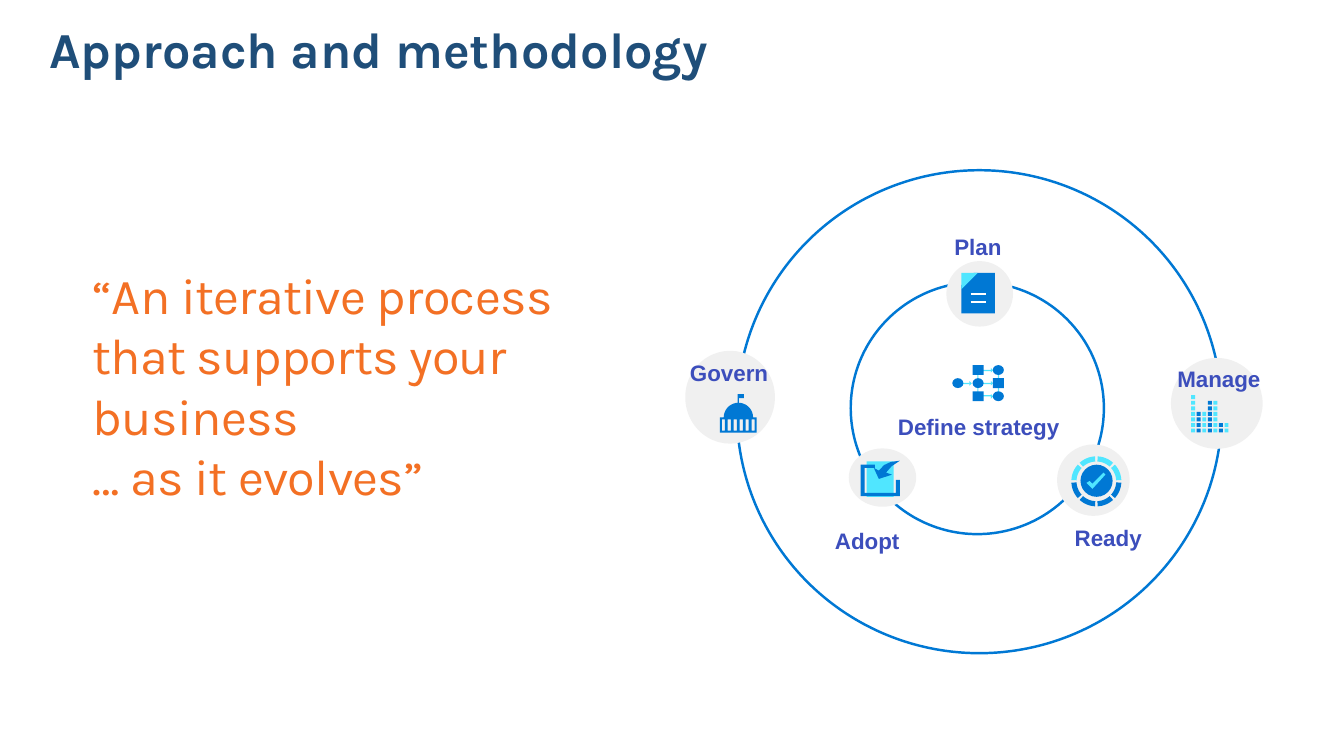
import dataclasses
import math

import lxml.etree
import pptx
import pptx.dml.color
import pptx.enum.shapes
import pptx.enum.text
import pptx.oxml.ns
import pptx.util

Cm = pptx.util.Cm
Pt = pptx.util.Pt
ALIGN = pptx.enum.text.PP_ALIGN
OVAL = pptx.enum.shapes.MSO_SHAPE.OVAL
RECTANGLE = pptx.enum.shapes.MSO_SHAPE.RECTANGLE


@dataclasses.dataclass(frozen=True)
class Theme:
    title: str = "1F4E79"
    quote: str = "F37024"
    label: str = "3C4EBC"
    blue: str = "0078D4"
    cyan: str = "50E6FF"
    disc: str = "F0F0F0"
    white: str = "FFFFFF"
    heading_font: str = "Karla"
    label_font: str = "Arial"
    large: int = 36
    small: int = 16


theme = Theme()
rgb = pptx.dml.color.RGBColor.from_string


def write_text(frame, text, font, size, color, bold=False, align=ALIGN.LEFT,
               line_spacing=None, tracking=None):
    para = frame.paragraphs[0]
    para.text = text
    para.alignment = align
    para.line_spacing = line_spacing
    for span in para.runs:
        span.font.name = font
        span.font.size = Pt(size)
        span.font.bold = bold
        span.font.color.rgb = rgb(color)
        if tracking is not None:
            span.font._element.set("spc", str(tracking))


def draw(form, geometry, fill=None, line=None):
    """Draw a preset from a box in cm, or an outline (form None) from contours in cm."""
    if form is None:
        contours = [[(Cm(x), Cm(y)) for x, y in contour] for contour in geometry]
        builder = page.shapes.build_freeform(*contours[0][0])
        builder.add_line_segments(contours[0][1:])
        for contour in contours[1:]:
            builder.move_to(*contour[0])
            builder.add_line_segments(contour[1:])
        shape = builder.convert_to_shape()
    else:
        shape = page.shapes.add_shape(form, *map(Cm, geometry))
    shape.shadow.inherit = False
    if fill:
        shape.fill.solid()
        shape.fill.fore_color.rgb = rgb(fill)
    else:
        shape.fill.background()
    if line:
        shape.line.color.rgb = rgb(line)
        shape.line.width = Pt(1.75)
    else:
        shape.line.fill.background()


deck = pptx.Presentation()
deck.slide_width, deck.slide_height = Cm(33.87), Cm(19.05)
page = deck.slides.add_slide(deck.slide_layouts[5])

# Title
title = page.shapes.title
title.left, title.top, title.width, title.height = map(Cm, (0.99, 0.38, 31.5, 1.88))
title.text_frame.vertical_anchor = pptx.enum.text.MSO_ANCHOR.MIDDLE
write_text(title.text_frame, "Approach and methodology", theme.heading_font, theme.large,
           theme.title, bold=True, line_spacing=0.9)

# Rings and the discs on them
for ring in ((18.57, 4.29, 12.22, 12.17), (21.44, 7.11, 6.38, 6.35)):
    draw(OVAL, ring, line=theme.blue)
discs = {
    "Adopt": (21.39, 11.3, 1.7, 1.47),
    "Plan": (23.85, 6.58, 1.68, 1.65),
    "Ready": (26.64, 11.2, 1.83, 1.8),
    "Manage": (29.51, 9.02, 2.31, 2.29),
    "Govern": (17.27, 8.84, 2.26, 2.34),
}
for disc in discs.values():
    draw(OVAL, disc, theme.disc)

# Strategy icon: links, arrowheads, then nodes
node_left, node_top, column_step, row_step = 24, 9.2, 0.51, 0.33
middle = node_top + 0.13
for link in ((24.66, 9.96, 0.33, 0.03), (25.15, 9.35, 0.03, 0.69),
             (24.71, 9.65, 0.28, 0.03), (24.16, 9.65, 0.28, 0.03)):
    draw(RECTANGLE, link, theme.cyan)
draw(None, [[(24.66, 9.93), (24.63, 9.93), (24.63, 9.32), (24.97, 9.32),
             (24.97, 9.35), (24.66, 9.35)]], theme.cyan)
for x, row in ((24.97, 0), (24.97, 1), (24.97, 2), (24.43, 1)):
    y = middle + row * row_step
    draw(None, [[(x, y - 0.06), (x + 0.06, y), (x, y + 0.06)]], theme.cyan)
for column, row in ((0, 1), (1, 0), (1, 1), (1, 2), (2, 0), (2, 1), (2, 2)):
    form = RECTANGLE if (column + row) % 2 and column else OVAL
    draw(form, (node_left + column * column_step, node_top + row * row_step, 0.28, 0.25),
         theme.blue)

# Adopt icon: sheet, tray and arrow
draw(RECTANGLE, (21.84, 11.63, 0.68, 0.89), theme.cyan)
draw(None, [[(22.58, 12.09), (22.58, 12.42), (21.79, 12.42), (21.79, 11.79), (22.05, 11.79),
             (22.05, 11.71), (21.69, 11.71), (21.69, 12.5), (22.68, 12.5), (22.68, 12.09)]],
     theme.blue)
draw(None, [[(22.68, 11.61), (22.45, 11.64), (22.28, 11.72), (22.15, 11.86), (22.02, 11.79),
             (22.15, 12.07), (22.48, 11.96), (22.33, 11.91), (22.47, 11.75)]], theme.blue)

# Plan icon: page, folded corner and text lines
draw(None, [[(24.54, 6.88), (24.23, 7.19), (24.23, 7.9), (25.07, 7.9), (25.07, 6.88)]],
     theme.blue)
draw(None, [[(24.23, 6.88), (24.64, 6.88), (24.23, 7.29)]], theme.cyan)
for y in (7.42, 7.62):
    rule = page.shapes.add_connector(pptx.enum.shapes.MSO_CONNECTOR.STRAIGHT,
                                     Cm(24.46), Cm(y), Cm(24.84), Cm(y))
    rule.line.color.rgb = rgb(theme.white)
    rule.line.width = Pt(1.38)
    lxml.etree.SubElement(rule._element.spPr, pptx.oxml.ns.qn("a:effectLst"))

# Ready icon: check mark inside eight ring segments
draw(OVAL, (27.23, 11.71, 0.81, 0.81), theme.blue)
draw(None, [[(27.86, 11.96), (27.81, 11.91), (27.53, 12.19), (27.46, 12.12),
             (27.38, 12.17), (27.53, 12.32)]], theme.cyan)
for segment in range(8):
    angles = [math.radians(45 * segment + 3 + 39 * step / 8) for step in range(9)]
    arc = [(0.63, angle) for angle in angles] + [(0.5, angle) for angle in reversed(angles)]
    draw(None, [[(27.63 + radius * math.cos(angle), 12.13 + radius * math.sin(angle))
                 for radius, angle in arc]], theme.blue if segment < 4 else theme.cyan)

# Manage icon: columns of small squares
for column, height in enumerate((7, 4, 4, 6, 6, 2, 2)):
    for row in range(7 - height, 7):
        draw(RECTANGLE, (30.02 + 0.14 * column, 9.96 + 0.14 * row, 0.1, 0.1),
             theme.blue if column % 2 else theme.cyan)

# Govern icon: domed building with a flag and six openings
dome = [(18.61 + 0.37 * math.cos(math.radians(angle)),
         10.52 - 0.37 * math.sin(math.radians(angle))) for angle in range(0, 181, 10)]
flag = [(18.62, 10.15), (18.62, 10.03), (18.75, 10.03), (18.75, 9.93), (18.59, 9.93),
        (18.59, 10.15)]
base = [(18.14, 10.52), (18.14, 10.9), (19.07, 10.9), (19.07, 10.52)]
openings = [[(x, 10.57), (x, 10.85), (x + 0.08, 10.85), (x + 0.08, 10.57)]
            for x in (18.19 + 0.15 * index for index in range(6))]
draw(None, [dome[:9] + flag + dome[10:] + base] + openings, theme.blue)

# Labels
for text, place, align, spacing in (
    ("Define strategy", (22.61, 10.49, 4.11, 0.61), ALIGN.CENTER, 0.9),
    ("Plan", (24.05, 5.87, 1.19, 0.69), ALIGN.CENTER, None),
    ("Adopt", (21.03, 13.28, 1.65, 0.69), ALIGN.CENTER, None),
    ("Ready", (27.08, 13.21, 1.7, 0.69), ALIGN.CENTER, None),
    ("Manage", (29.67, 9.19, 2.11, 0.69), ALIGN.LEFT, None),
    ("Govern", (17.35, 9.04, 2.01, 0.69), ALIGN.RIGHT, None),
):
    frame = page.shapes.add_textbox(*map(Cm, place)).text_frame
    frame.margin_left = frame.margin_top = frame.margin_right = frame.margin_bottom = 0
    frame.word_wrap = False
    frame.auto_size = pptx.enum.text.MSO_AUTO_SIZE.SHAPE_TO_FIT_TEXT
    write_text(frame, text, theme.label_font, theme.small, theme.label, bold=True,
               align=align, line_spacing=spacing)

# Quote
quote = page.shapes.add_textbox(Cm(2.08), Cm(6.53), Cm(14.48), Cm(4.88)).text_frame
quote.word_wrap = True
quote.auto_size = pptx.enum.text.MSO_AUTO_SIZE.SHAPE_TO_FIT_TEXT
write_text(quote, "“An iterative process that supports your business\v… as it evolves”",
           theme.heading_font, theme.large, theme.quote, tracking=-50)

deck.save("out.pptx")
